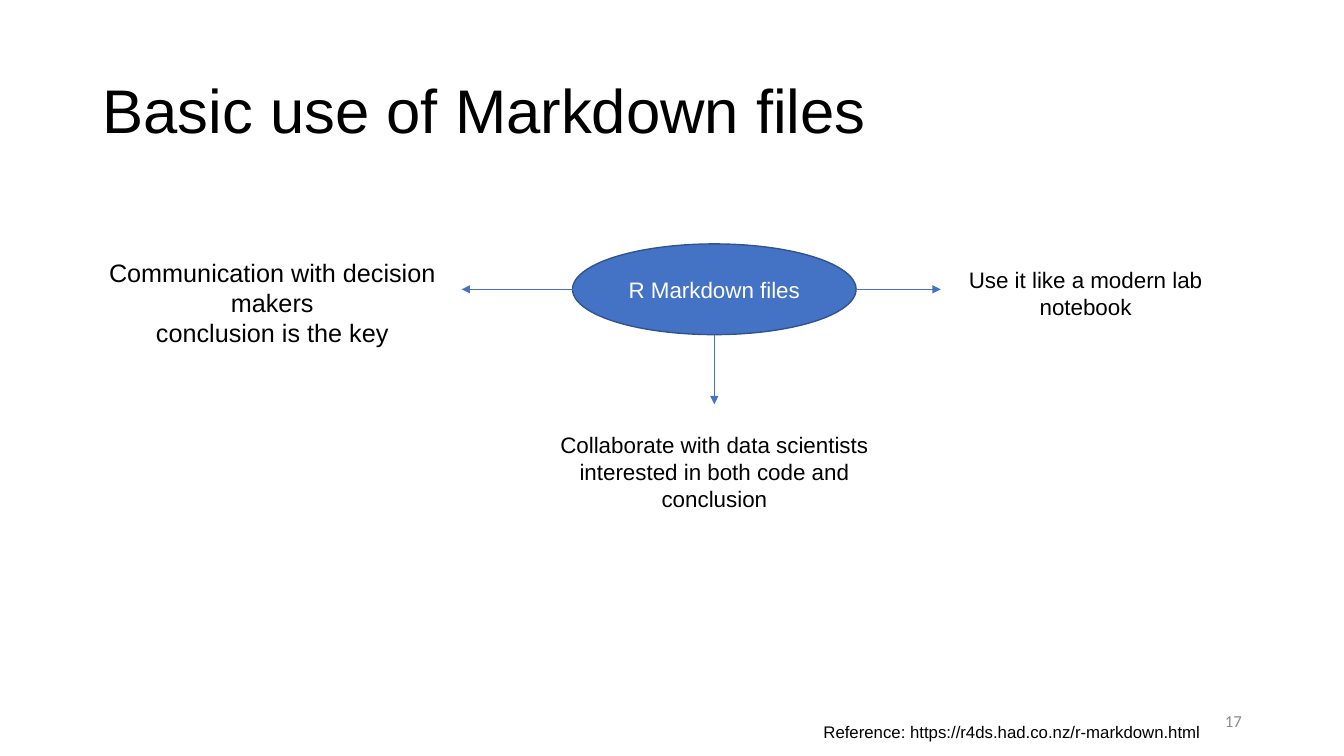
from dataclasses import dataclass

from lxml import etree
from pptx import Presentation
from pptx import util as u
from pptx.dml.color import RGBColor
from pptx.enum import shapes, text
from pptx.oxml import ns


@dataclass(frozen=True)
class Theme:
    ink: str = "000000"
    light: str = "FFFFFF"
    muted: str = "8C8C8C"
    accent: str = "4472C4"
    outline: str = "31538F"
    font: str = "Arial"
    number_font: str = "Calibri"
    title: int = 44
    large: int = 18
    body: int = 16
    small: int = 12


LEFT, CENTER, RIGHT = text.PP_ALIGN.LEFT, text.PP_ALIGN.CENTER, text.PP_ALIGN.RIGHT
TOP, MIDDLE = text.MSO_ANCHOR.TOP, text.MSO_ANCHOR.MIDDLE


def write(frame, words, *, size, color, font, align=LEFT, anchor=TOP, spacing=None):
    """Fill a text frame, with one paragraph for each line of words."""
    frame.word_wrap = True
    frame.vertical_anchor = anchor
    for index, line in enumerate(words.split("\n")):
        para = frame.add_paragraph() if index else frame.paragraphs[0]
        para.alignment = align
        if spacing:
            para.line_spacing = spacing
        span = para.add_run()
        span.text = line
        span.font.size = u.Pt(size)
        span.font.name = font
        span.font.color.rgb = RGBColor.from_string(color)


class SlideBuilder:
    """Draws on one slide; every length is a percentage of the slide's size."""

    def __init__(self, deck, theme):
        self.deck = deck
        self.theme = theme
        self.page = deck.slides.add_slide(deck.slide_layouts[6])

    def point(self, x, y):
        return (round(self.deck.slide_width * x / 100),
                round(self.deck.slide_height * y / 100))

    def area(self, left, top, width, height):
        return *self.point(left, top), *self.point(width, height)

    def label(self, area, words, **style):
        box = self.page.shapes.add_textbox(*self.area(*area))
        defaults = dict(size=self.theme.body, color=self.theme.ink, font=self.theme.font)
        write(box.text_frame, words, **(defaults | style))

    def ellipse(self, area, words):
        hub = self.page.shapes.add_shape(shapes.MSO_SHAPE.OVAL, *self.area(*area))
        hub.shadow.inherit = False
        hub.fill.solid()
        hub.fill.fore_color.rgb = RGBColor.from_string(self.theme.accent)
        hub.line.color.rgb = RGBColor.from_string(self.theme.outline)
        hub.line.width = u.Pt(1)
        write(hub.text_frame, words, size=self.theme.body, color=self.theme.light,
              font=self.theme.font, align=CENTER, anchor=MIDDLE)

    def arrow(self, start, end):
        line = self.page.shapes.add_connector(
            shapes.MSO_CONNECTOR.STRAIGHT, *self.point(*start), *self.point(*end))
        line.line.color.rgb = RGBColor.from_string(self.theme.accent)
        line.line.width = u.Pt(0.75)
        etree.SubElement(line.line._get_or_add_ln(), ns.qn("a:tailEnd"), type="triangle")
        etree.SubElement(line._element.spPr, ns.qn("a:effectLst"))


def main():
    deck = Presentation()
    deck.slide_width, deck.slide_height = u.Inches(13.33), u.Inches(7.5)
    theme = Theme()
    slide = SlideBuilder(deck, theme)

    slide.label((6.9, 5.33, 86.25, 19.33), "Basic use of Markdown files",
                size=theme.title, anchor=MIDDLE, spacing=0.9)
    slide.label((70.65, 92.67, 22.5, 5.33), "17", size=theme.small, color=theme.muted,
                font=theme.number_font, align=RIGHT, anchor=MIDDLE)
    slide.label((60.53, 94.8, 39, 4),
                "Reference: https://r4ds.had.co.nz/r-markdown.html", size=theme.small)

    left, top, width, height = hub = (42.6, 32.27, 21.1, 12)
    center, middle = left + width / 2, top + height / 2
    slide.ellipse(hub, "R Markdown files")
    for start, end in (
        ((left, middle), (34.35, middle)),
        ((center, top + height), (center, 53.47)),
        ((left + width, middle), (70, middle)),
    ):
        slide.arrow(start, end)

    for area, words, size in (
        ((6.83, 33.33, 26.85, 13.47),
         "Communication with decision makers\nconclusion is the key", theme.large),
        ((40.8, 56.4, 24.7, 12.13),
         "Collaborate with data scientists interested in both code and conclusion",
         theme.body),
        ((69, 34.53, 23.55, 8.53), "Use it like a modern lab notebook", theme.body),
    ):
        slide.label(area, words, size=size, align=CENTER)

    deck.save("out.pptx")


if __name__ == "__main__":
    main()
